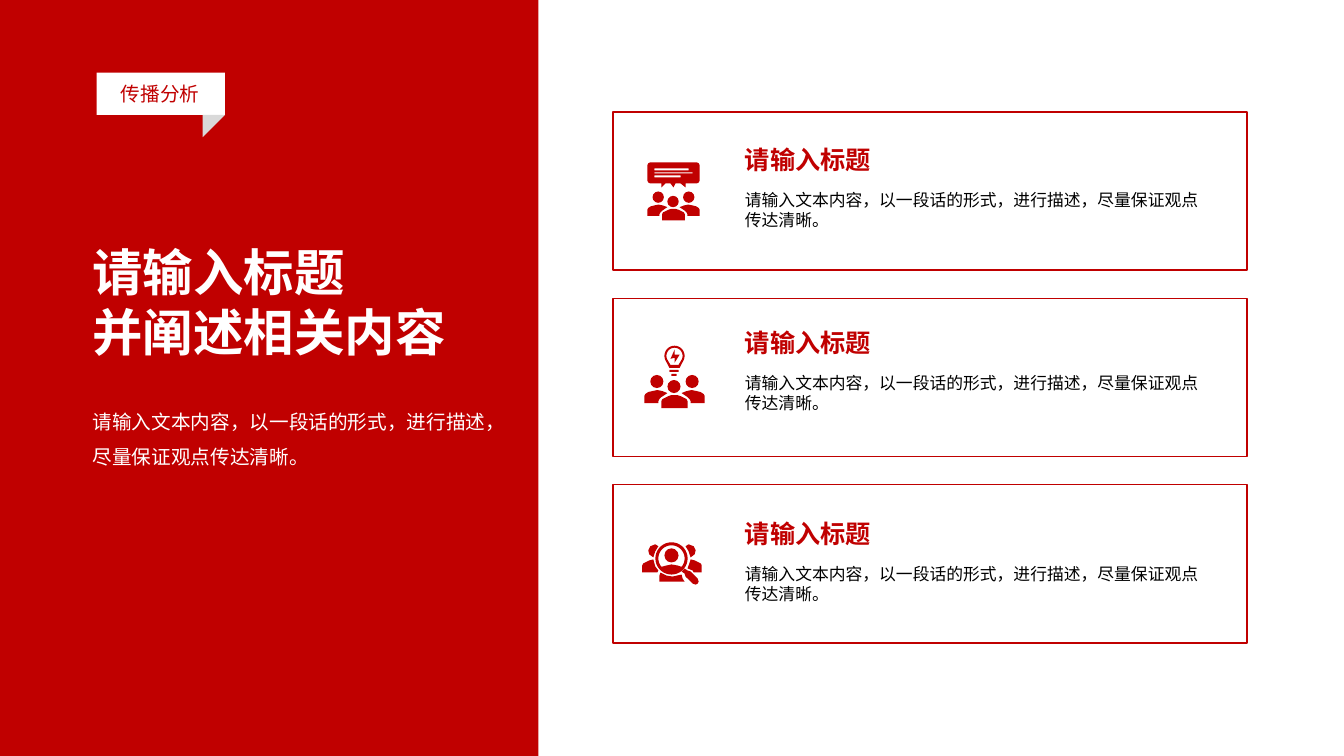
from dataclasses import dataclass
from math import cos, radians, sin

from pptx import Presentation
from pptx.dml.color import RGBColor
from pptx.enum.shapes import MSO_SHAPE
from pptx.enum.text import MSO_AUTO_SIZE
from pptx.util import Emu, Pt

RECT = MSO_SHAPE.RECTANGLE
ROUNDED = MSO_SHAPE.ROUNDED_RECTANGLE
OVAL = MSO_SHAPE.OVAL
TRIANGLE = MSO_SHAPE.RIGHT_TRIANGLE
GROW = MSO_AUTO_SIZE.SHAPE_TO_FIT_TEXT
SCALE = 9144


@dataclass(frozen=True)
class Theme:
    """Colours, font and type sizes of the slide."""
    font: str = "Arial"
    red: str = "C00000"
    white: str = "FFFFFF"
    fold: str = "D9D9D9"
    black: str = "000000"
    headline: int = 36
    heading: int = 18
    lead: int = 14
    body: int = 12


THEME = Theme()
SENTENCE = "请输入文本内容，以一段话的形式，进行描述，尽量保证观点传达清晰。"


def px(n):
    """Turn px into EMU."""
    return Emu(round(n * SCALE))


def paint(sp, fill=None, line=None):
    """Set fill and outline, without a shadow."""
    sp.shadow.inherit = False
    if fill:
        sp.fill.solid()
        sp.fill.fore_color.rgb = RGBColor.from_string(fill)
    else:
        sp.fill.background()
    if line:
        sp.line.color.rgb = RGBColor.from_string(line)
        sp.line.width = Pt(1)
    else:
        sp.line.fill.background()


def add_preset(s, kind, x, y, w, h, fill=None, line=None):
    """Add a painted preset shape."""
    sp = s.shapes.add_shape(kind, px(x), px(y), px(w), px(h))
    paint(sp, fill, line)
    return sp


def add_outline(s, x, y, *contours, zoom=1):
    """Add a red freeform; later contours cut holes in the first."""
    placed = [[(px(x + a * zoom), px(y + b * zoom)) for a, b in c] for c in contours]
    builder = s.shapes.build_freeform(*placed[0][0], scale=1.0)
    builder.add_line_segments(placed[0][1:])
    for hole in placed[1:]:
        builder.move_to(*hole[0])
        builder.add_line_segments(hole[1:])
    paint(builder.convert_to_shape(), THEME.red)


def add_text(s, x, y, w, h, lines, size, color, bold=False, wrap=True, spacing=None):
    """Add a text box with one paragraph per line."""
    tf = s.shapes.add_textbox(px(x), px(y), px(w), px(h)).text_frame
    tf.word_wrap = wrap
    tf.auto_size = GROW
    for i, line in enumerate(lines):
        p = tf.add_paragraph() if i else tf.paragraphs[0]
        if spacing:
            p.line_spacing = spacing
        r = p.add_run()
        r.text = line
        r.font.name = THEME.font
        r.font.size = Pt(size)
        r.font.bold = bold
        r.font.color.rgb = RGBColor.from_string(color)


def arc(cx, cy, radius, start, end):
    """Return points along a clockwise arc."""
    angles = [radians(start + (end - start) * i / 36) for i in range(37)]
    return [(cx + radius * cos(a), cy + radius * sin(a)) for a in angles]


def mirror(points, width):
    """Reflect points left to right within a width."""
    return [(width - a, b) for a, b in points]


def bar(x, y, w, h):
    """Return the corners of a rectangle."""
    return [(x, y), (x + w, y), (x + w, y + h), (x, y + h)]


def draw_crowd(s, x, y, width):
    """Draw three people, the middle one in front."""
    zoom = width / 60
    shoulder = [(59, 19), (56, 17), (52, 16), (47, 15), (42, 16), (37, 18),
                (43, 22), (45, 24), (46, 26), (46, 28), (60, 28), (60, 21)]
    front = [(17, 33), (17, 26), (18, 24), (24, 21), (27, 20), (30, 20),
             (33, 20), (36, 21), (42, 24), (43, 26), (43, 33)]
    for outline in (shoulder, mirror(shoulder, 60), front):
        add_outline(s, x, y, outline, zoom=zoom)
    for left, top in ((41, 0), (6, 0), (23, 5)):
        add_preset(s, OVAL, x + left * zoom, y + top * zoom, 13 * zoom, 13 * zoom, THEME.red)


def draw_discussion(s, x, y):
    """Draw a crowd under a shared speech bubble."""
    bubble = [(49, 0), (3, 0), (1, 1), (0, 3), (0, 18), (1, 20), (3, 21),
              (14, 21), (14, 25), (18, 21), (23, 21), (26, 25), (28, 21),
              (33, 21), (38, 25), (38, 21), (49, 21), (51, 20), (52, 18),
              (52, 3), (51, 1)]
    add_outline(s, x, y, bubble, bar(7, 6, 34, 2), bar(7, 10, 38, 1), bar(7, 13, 26, 2))
    draw_crowd(s, x, y + 29, 52)


def draw_idea(s, x, y):
    """Draw a crowd under a light bulb."""
    glass = arc(30, 10, 10, 150, 390) + [(35, 22), (25, 22)]
    inside = arc(30, 10, 8, 150, 390) + [(34, 19), (26, 19)]
    bolt = [(26, 13), (30, 4), (30, 9), (35, 9), (30, 17), (30, 12)]
    add_outline(s, x, y, glass, inside)
    add_outline(s, x, y, bolt)
    for left, top, width in ((25, 24, 9), (27, 28, 5)):
        add_preset(s, ROUNDED, x + left, y + top, width, 2, THEME.red)
    draw_crowd(s, x, y + 29, 60)


def draw_search(s, x, y):
    """Draw a magnifier over a group of people."""
    head = [(48, 15), (52, 12), (53, 8), (51, 4), (46, 2), (43, 4), (46, 9)]
    left = [(11, 17), (7, 18), (1, 21), (0, 23), (0, 30), (15, 30), (16, 28), (13, 24)]
    right = [(48, 17), (52, 18), (58, 21), (59, 23), (59, 30), (51, 30), (50, 28), (45, 26)]
    chest = [(17, 39), (17, 33), (18, 30), (24, 33), (30, 34), (39, 32), (40, 36), (42, 39)]
    handle = [(42, 26), (45, 28), (48, 29), (55, 36), (56, 39), (55, 41),
              (53, 42), (50, 41), (43, 34), (42, 31), (39, 29)]
    for outline in (head, mirror(head, 59), left, right, chest, handle):
        add_outline(s, x, y, outline)
    opening = arc(29, 16, 13, 140, 400) + [(35, 23), (29, 22), (24, 23)]
    add_outline(s, x, y, arc(29, 16, 16, 0, 360), opening)
    add_preset(s, OVAL, x + 22, y + 6, 14, 14, THEME.red)


def draw_panel(s, x, y, w, h):
    """Draw the red panel with its tag, headline and lead."""
    add_preset(s, RECT, x, y, w, h, THEME.red)
    add_preset(s, RECT, x + 96, y + 72, 127, 42, THEME.white)
    add_preset(s, TRIANGLE, x + 201, y + 114, 22, 22, THEME.fold).rotation = 90
    add_text(s, x + 110, y + 76, 99, 34, ["传播分析"], THEME.lead, THEME.red, wrap=False)
    add_text(s, x + 82, y + 234, 373, 131, ["请输入标题", "并阐述相关内容"],
             THEME.headline, THEME.white, bold=True)
    add_text(s, x + 82, y + 390, 412, 77, [SENTENCE], THEME.lead, THEME.white, spacing=1.5)


def draw_card(s, x, y, w, h, draw_icon, icon_at, text_top):
    """Draw an outlined card with icon, heading and body."""
    add_preset(s, RECT, x, y, w, h, line=THEME.red)
    draw_icon(s, x + icon_at[0], y + icon_at[1])
    add_text(s, x + 121, y + text_top, 146, 40, ["请输入标题"],
             THEME.heading, THEME.red, bold=True, wrap=False)
    add_text(s, x + 121, y + text_top + 45, 474, 50, [SENTENCE], THEME.body, THEME.black)


def main():
    """Build and save the slide."""
    prs = Presentation()
    prs.slide_width, prs.slide_height = px(1333), px(750)
    s = prs.slides.add_slide(prs.slide_layouts[6])
    draw_panel(s, 0, 0, 534, 750)
    cards = ((draw_discussion, (34, 50), 27), (draw_idea, (31, 47), 24),
             (draw_search, (29, 57), 28))
    for i, card in enumerate(cards):
        draw_card(s, 608, 111 + i * 185, 629, 157, *card)
    prs.save("out.pptx")


if __name__ == "__main__":
    main()
